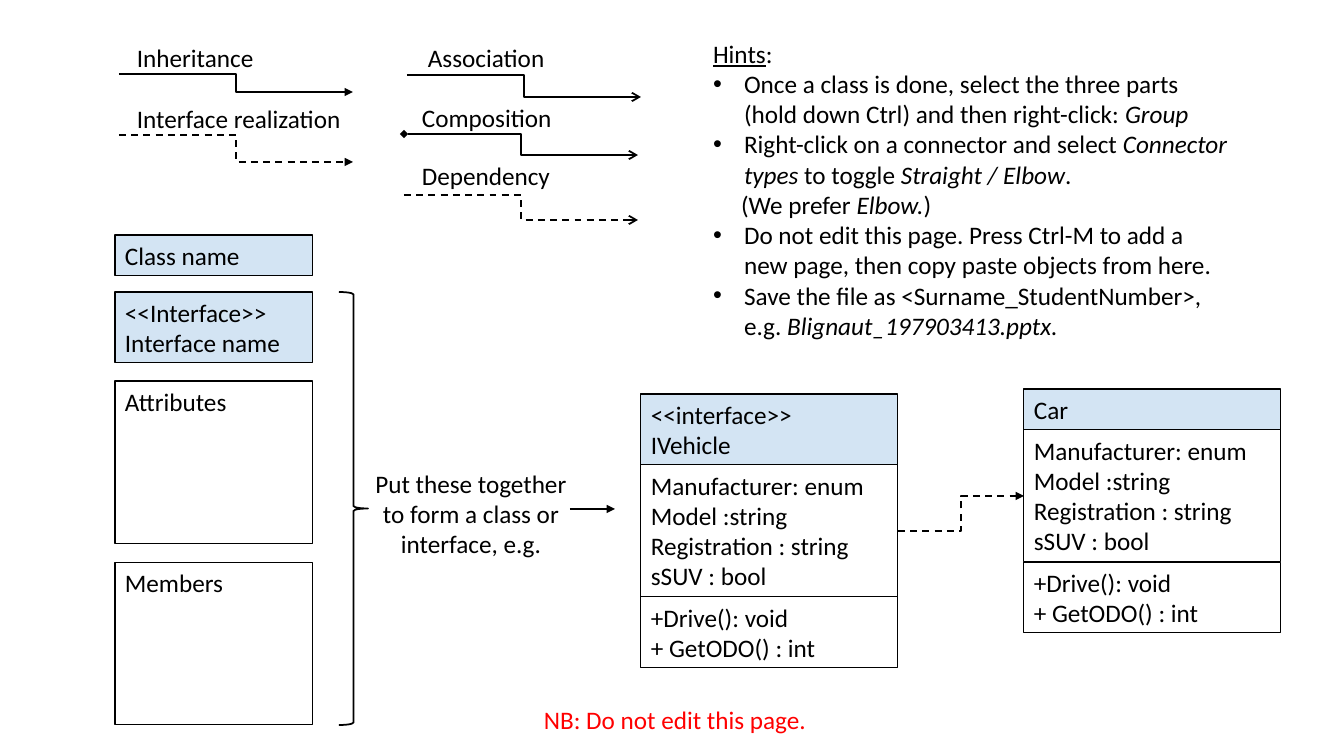
import pptx
import pptx.util
import pptx.dml.color
import pptx.enum.dml
import pptx.enum.shapes
import pptx.enum.text
import pptx.oxml.ns
from lxml import etree

COLOURS = {"black": "000000", "white": "FFFFFF", "header": "BDD7EE", "warning": "FF0000"}
EMU_PER_PIXEL = 914400 / 100.8
FONT = "Calibri"
FONT_SIZE = 18
LEFT = pptx.enum.text.PP_ALIGN.LEFT
CENTER = pptx.enum.text.PP_ALIGN.CENTER
ELBOW = pptx.enum.shapes.MSO_CONNECTOR.ELBOW
STRAIGHT = pptx.enum.shapes.MSO_CONNECTOR.STRAIGHT
SHAPES = pptx.enum.shapes.MSO_SHAPE

ATTRIBUTES = ["Manufacturer: enum", "Model :string", "Registration : string", "sSUV : bool"]
MEMBERS = ["+Drive(): void", "+ GetODO() : int"]

RELATIONS = [
    ("Inheritance", (127, 37, 138), (119, 74, 353, 92), False, None, "triangle"),
    ("Interface realization", (127, 98, 227), (119, 135, 353, 162), True, None, "triangle"),
    ("Association", (418, 37, 138), (407, 75, 641, 97), False, None, "arrow"),
    ("Composition", (412, 97, 157), (404, 134, 638, 155), False, "diamond", "arrow"),
    ("Dependency", (412, 155, 150), (404, 195, 638, 220), True, None, "arrow"),
]

PARTS = [
    (["Class name"], 235, 41, "header"),
    (["<<Interface>>", "Interface name"], 292, 71, "header"),
    (["Attributes"], 381, 163, "white"),
    (["Members"], 562, 163, "white"),
]

HINTS = [
    ("heading", [("Hints", "underline"), (":", None)]),
    ("bullet", [("Once a class is done, select the three parts (hold down Ctrl) "
                 "and then right-click: ", None), ("Group", "italic")]),
    ("bullet", [("Right-click on a connector and select ", None), ("Connector types ", "italic"),
                ("to toggle ", None), ("Straight / Elbow", "italic"), (".", None)]),
    ("remark", [("(We prefer ", None), ("Elbow.", "italic"), (")", None)]),
    ("bullet", [("Do not edit this page. Press Ctrl-M to add a new page, "
                 "then copy paste objects from here.", None)]),
    ("bullet", [("Save the file as <Surname_StudentNumber>, e.g. ", None),
                ("Blignaut_197903413.pptx.", "italic")]),
]
HINT_INDENTS = {"heading": (0, 0), "bullet": (31, -31), "remark": (28, 0)}


def pixels(*values):
    return [pptx.util.Emu(round(value * EMU_PER_PIXEL)) for value in values]


def colour(name):
    return pptx.dml.color.RGBColor.from_string(COLOURS[name])


def add_element(parent, tag, **attributes):
    return etree.SubElement(parent, pptx.oxml.ns.qn(tag), attributes)


def format_paragraph(paragraph, colour_name="black", alignment=LEFT):
    paragraph.alignment = alignment
    paragraph.font.name = FONT
    paragraph.font.size = pptx.util.Pt(FONT_SIZE)
    paragraph.font.color.rgb = colour(colour_name)


def write_lines(text_frame, lines, colour_name="black", alignment=LEFT):
    text_frame.text = "\n".join(lines)
    for paragraph in text_frame.paragraphs:
        format_paragraph(paragraph, colour_name, alignment)


def set_line(shape, width):
    shape.line.color.rgb = colour("black")
    shape.line.width = pptx.util.Pt(width)


def add_label(slide, lines, box, colour_name="black", alignment=LEFT):
    label = slide.shapes.add_textbox(*pixels(*box))
    label.text_frame.word_wrap = False
    write_lines(label.text_frame, lines, colour_name, alignment)


def add_part(shapes, lines, box, fill_name):
    part = shapes.add_shape(SHAPES.RECTANGLE, *pixels(*box))
    part.shadow.inherit = False
    part.fill.solid()
    part.fill.fore_color.rgb = colour(fill_name)
    fill_colour = part.fill._xPr.find(".//" + pptx.oxml.ns.qn("a:srgbClr"))
    add_element(fill_colour, "a:alpha", val="66000")
    set_line(part, 0.75)
    part.text_frame.word_wrap = True
    part.text_frame.vertical_anchor = pptx.enum.text.MSO_ANCHOR.TOP
    write_lines(part.text_frame, lines)


def add_class(slide, name_lines, left, top):
    group = slide.shapes.add_group_shape()
    for lines, fill_name in ((name_lines, "header"), (ATTRIBUTES, "white"), (MEMBERS, "white")):
        height = round(10.4 + 30.4 * len(lines))
        add_part(group.shapes, lines, (left, top, 257, height), fill_name)
        top += height


def add_arrow(slide, kind, ends, dashed=False, head=None, tail="triangle"):
    connector = slide.shapes.add_connector(kind, *pixels(*ends))
    set_line(connector, 1.25)
    if dashed:
        connector.line.dash_style = pptx.enum.dml.MSO_LINE.DASH
    line = connector.line._get_or_add_ln()
    if head:
        add_element(line, "a:headEnd", type=head)
    add_element(line, "a:tailEnd", type=tail)
    add_element(connector._element.spPr, "a:effectLst")


def add_brace(slide, box):
    brace = slide.shapes.add_shape(SHAPES.RIGHT_BRACE, *pixels(*box))
    brace.shadow.inherit = False
    brace.fill.background()
    set_line(brace, 1.25)


def add_hints(slide, box):
    body = slide.placeholders[1]
    body.left, body.top, body.width, body.height = pixels(*box)
    text_frame = body.text_frame
    text_frame.word_wrap = True
    text_frame.auto_size = pptx.enum.text.MSO_AUTO_SIZE.NONE
    for index, (kind, runs) in enumerate(HINTS):
        paragraph = text_frame.add_paragraph() if index else text_frame.paragraphs[0]
        format_paragraph(paragraph)
        paragraph.space_before = pptx.util.Pt(0)
        properties = paragraph._p.get_or_add_pPr()
        margin, indent = pixels(*HINT_INDENTS[kind])
        properties.set("marL", str(margin))
        properties.set("indent", str(indent))
        if kind == "bullet":
            bullet_font = add_element(properties, "a:buFont", typeface="Arial")
            bullet = add_element(properties, "a:buChar", char="•")
        else:
            bullet_font = None
            bullet = add_element(properties, "a:buNone")
        defaults = properties.find(pptx.oxml.ns.qn("a:defRPr"))
        for element in (bullet_font, bullet):
            if element is not None:
                defaults.addprevious(element)
        for text, style in runs:
            run = paragraph.add_run()
            run.text = text
            if style:
                setattr(run.font, style, True)


def main():
    presentation = pptx.Presentation()
    presentation.slide_width, presentation.slide_height = pixels(1344, 756)
    slide = presentation.slides.add_slide(presentation.slide_layouts[1])
    title = slide.shapes.title._element
    title.getparent().remove(title)

    for name, (left, top, width), ends, dashed, head, tail in RELATIONS:
        add_label(slide, [name], (left, top, width, 41))
        add_arrow(slide, ELBOW, ends, dashed, head, tail)
    for lines, top, height, fill_name in PARTS:
        add_part(slide.shapes, lines, (115, top, 198, height), fill_name)

    add_brace(slide, (339, 292, 29, 433))
    add_label(slide, ["Put these together", "to form a class or", "interface, e.g."],
              (364, 463, 214, 102), alignment=CENTER)
    add_arrow(slide, STRAIGHT, (570, 509, 615, 509))

    add_class(slide, ["<<interface>>", "IVehicle"], 641, 394)
    add_class(slide, ["Car"], 1024, 389)
    add_arrow(slide, ELBOW, (898, 531, 1024, 496), dashed=True)

    add_hints(slide, (703, 33, 535, 315))
    add_label(slide, ["NB: Do not edit this page."], (534, 699, 285, 41), "warning")
    presentation.save("out.pptx")


main()
